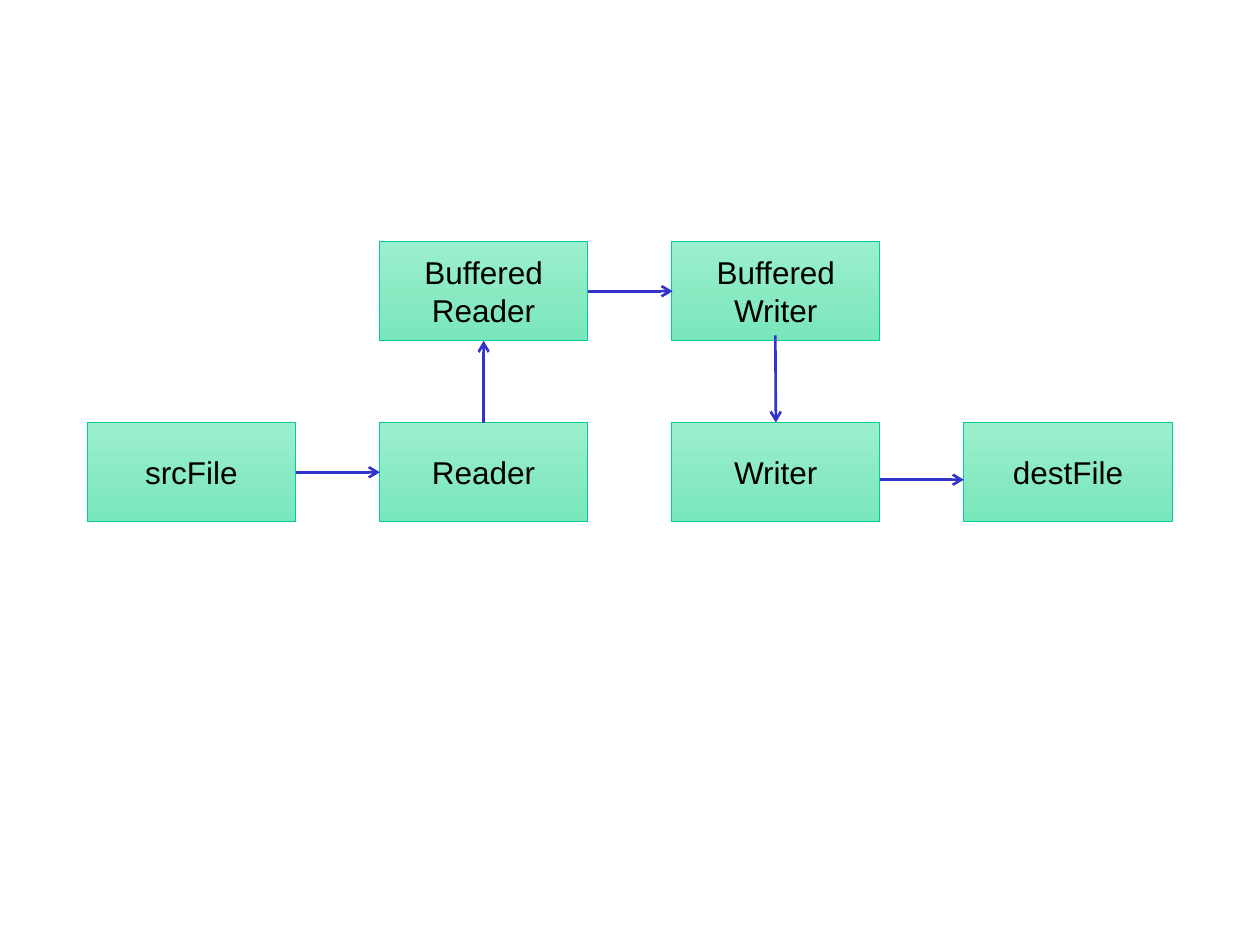
from dataclasses import dataclass

from lxml.etree import SubElement
from pptx import Presentation
from pptx.dml.color import RGBColor
from pptx.enum.shapes import MSO_CONNECTOR, MSO_SHAPE
from pptx.enum.text import MSO_AUTO_SIZE, PP_ALIGN
from pptx.oxml.ns import qn
from pptx.util import Cm, Pt


@dataclass(frozen=True)
class Theme:
    font: str = "Arial"
    text_size: float = 18
    text: str = "000000"
    block_top: str = "9BEFCC"
    block_bottom: str = "79E6BB"
    block_line: str = "00CC99"
    block_line_width: float = 0.5
    arrow: str = "3333CC"
    arrow_width: float = 1.5


THEME = Theme()
BLOCK_WIDTH, BLOCK_HEIGHT = 4.2, 2.0
FIRST_LEFT, COLUMN_PITCH = 1.76, 5.89
UPPER_TOP, LOWER_TOP = 4.87, 8.52
LINE_HEIGHT, LABEL_PADDING = 0.76, 0.26

BLOCKS = [
    (0, LOWER_TOP, "srcFile", 2.46),
    (1, LOWER_TOP, "Reader", 2.66),
    (2, LOWER_TOP, "Writer", 2.28),
    (3, LOWER_TOP, "destFile", 2.82),
    (1, UPPER_TOP, "Buffered\nReader", 2.9),
    (2, UPPER_TOP, "Buffered\nWriter", 2.9),
]

ARROWS = [
    ((9.75, 8.52), (9.75, 6.87)),
    ((11.86, 5.87), (13.56, 5.87)),
    ((15.63, 6.76), (15.64, 8.52)),
    ((5.96, 9.52), (7.66, 9.52)),
    ((17.73, 9.67), (19.43, 9.67)),
]


def write_text(frame, text, *, size, color, font, align):
    for index, line in enumerate(text.split("\n")):
        para = frame.add_paragraph() if index else frame.paragraphs[0]
        para.alignment = align
        span = para.add_run()
        span.text = line
        span.font.name = font
        span.font.size = Pt(size)
        span.font.color.rgb = RGBColor.from_string(color)


def add_label(page, center_x, center_y, width, text):
    height = LABEL_PADDING + LINE_HEIGHT * len(text.split("\n"))
    box = page.shapes.add_textbox(
        Cm(center_x - width / 2), Cm(center_y - height / 2), Cm(width), Cm(height)
    )
    frame = box.text_frame
    frame.word_wrap = False
    frame.auto_size = MSO_AUTO_SIZE.SHAPE_TO_FIT_TEXT
    write_text(frame, text, size=THEME.text_size, color=THEME.text,
               font=THEME.font, align=PP_ALIGN.CENTER)


def add_block(page, column, top, text, label_width):
    left = FIRST_LEFT + column * COLUMN_PITCH
    block = page.shapes.add_shape(
        MSO_SHAPE.RECTANGLE, Cm(left), Cm(top), Cm(BLOCK_WIDTH), Cm(BLOCK_HEIGHT)
    )
    block.shadow.inherit = False
    block.fill.gradient()
    block.fill.gradient_angle = 270
    colors = (THEME.block_top, THEME.block_bottom)
    for stop, color in zip(block.fill.gradient_stops, colors):
        stop.color.rgb = RGBColor.from_string(color)
    block.line.color.rgb = RGBColor.from_string(THEME.block_line)
    block.line.width = Pt(THEME.block_line_width)
    add_label(page, left + BLOCK_WIDTH / 2, top + BLOCK_HEIGHT / 2, label_width, text)


def add_arrow(page, start, end):
    arrow = page.shapes.add_connector(
        MSO_CONNECTOR.STRAIGHT, *(Cm(value) for value in (*start, *end))
    )
    arrow.line.color.rgb = RGBColor.from_string(THEME.arrow)
    arrow.line.width = Pt(THEME.arrow_width)
    properties = arrow.element.find(qn("p:spPr"))
    SubElement(properties.find(qn("a:ln")), qn("a:tailEnd"), type="arrow")
    SubElement(properties, qn("a:effectLst"))


def main():
    deck = Presentation()
    deck.slide_width, deck.slide_height = Cm(25.4), Cm(19.05)
    page = deck.slides.add_slide(deck.slide_layouts[6])
    for column, top, text, label_width in BLOCKS:
        add_block(page, column, top, text, label_width)
    for start, end in ARROWS:
        add_arrow(page, start, end)
    deck.save("out.pptx")


if __name__ == "__main__":
    main()
